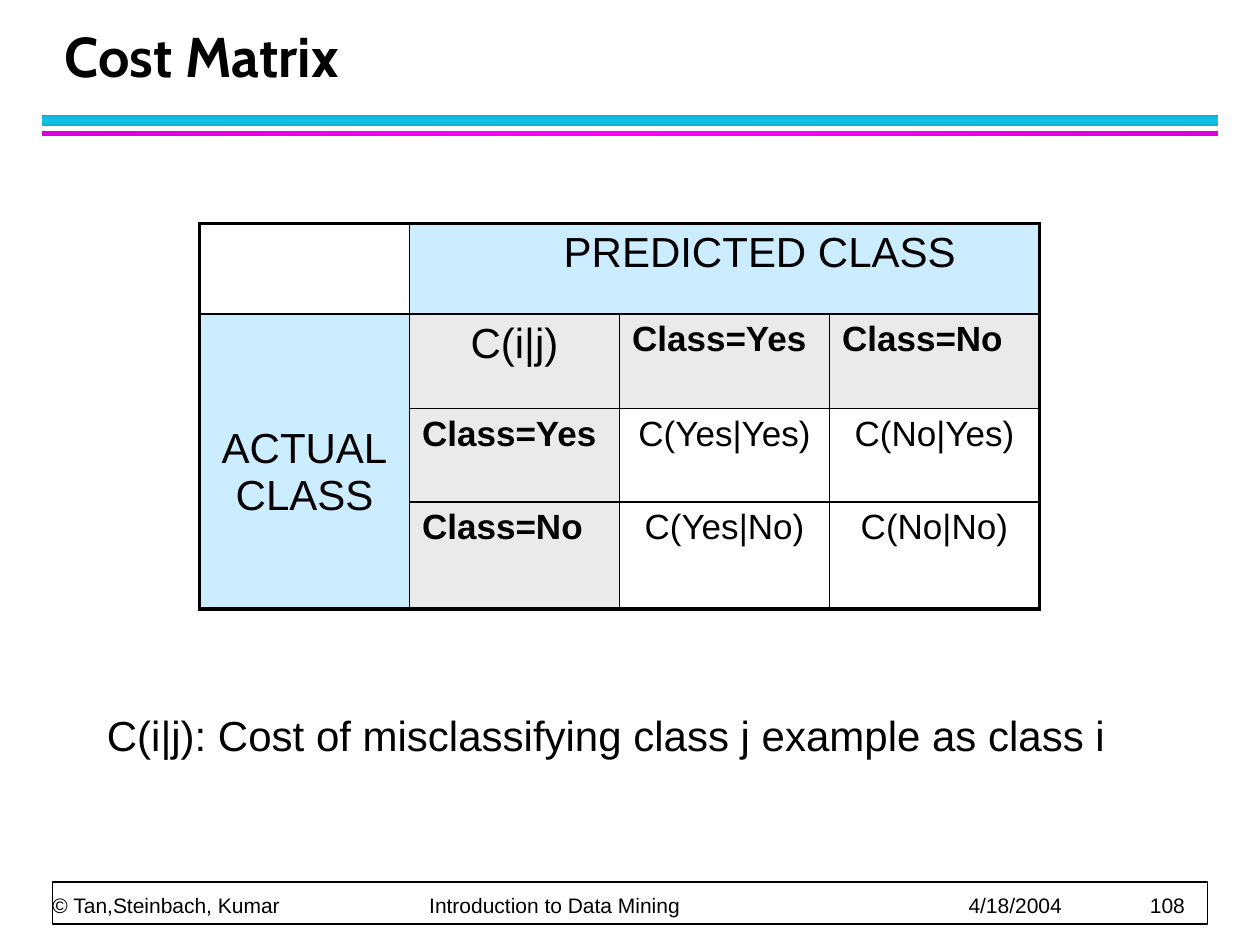
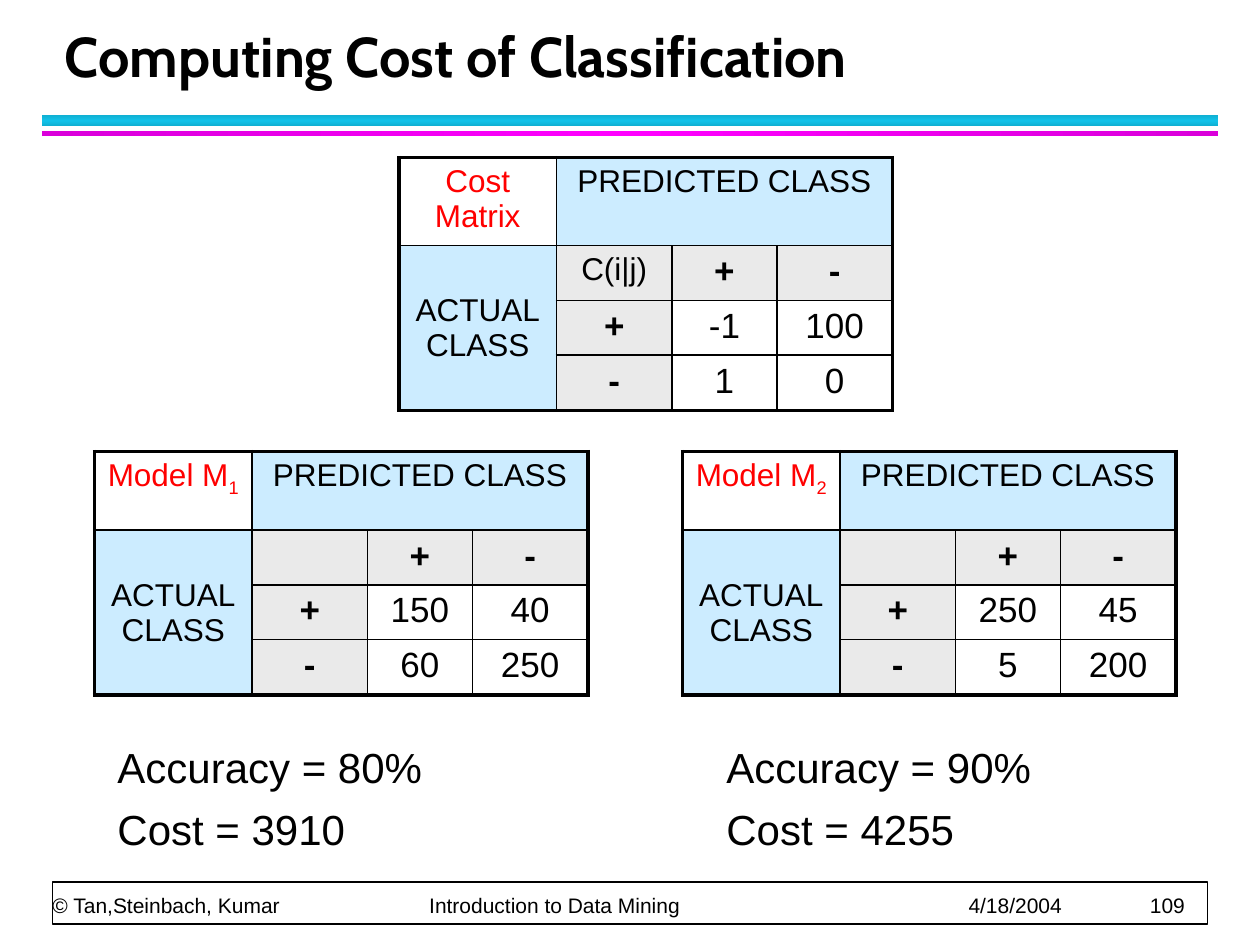
from copy import deepcopy

from lxml import etree
from pptx import Presentation
from pptx.dml.color import RGBColor
from pptx.enum.shapes import MSO_SHAPE as SHAPE
from pptx.enum.text import MSO_ANCHOR as ANCHOR, PP_ALIGN as ALIGN
from pptx.oxml.ns import qn
from pptx.util import Inches, Pt

BLACK = RGBColor(0x00, 0x00, 0x00)
WHITE = RGBColor(0xFF, 0xFF, 0xFF)
RED = RGBColor(0xFF, 0x00, 0x00)
PALE_BLUE = RGBColor(0xCC, 0xEC, 0xFF)
GREY = RGBColor(0xEA, 0xEA, 0xEA)
CYAN_EDGE, CYAN = RGBColor(0x10, 0xB0, 0xD3), RGBColor(0x12, 0xC2, 0xE9)
MAGENTA_EDGE, MAGENTA = RGBColor(0xDA, 0x00, 0xDA), RGBColor(0xFF, 0x00, 0xFF)

BODY_FONT, TITLE_FONT = "Arial", "Cabin"
COLS, ROWS = 120, 90
UNIT = Inches(10) // COLS
THIN, THICK = Pt(1), Pt(2.25)
FOOTER_TABS = (2.99, 7.27, 8.71)
SMALL_COLS, SMALL_ROWS = (15, 11, 10, 11), (7.5, 4.5, 5, 5.3)


def grid(*cells):
    return [round(n * UNIT) for n in cells]


def style(p, size, color=BLACK, bold=False, font=BODY_FONT):
    for r in p.runs:
        r.font.name, r.font.size, r.font.bold = font, Pt(size), bold
        r.font.color.rgb = color


def space(p, size):
    p.space_before, p.space_after = Pt(round(size * 0.12, 1)), Pt(4)


def add_text(slide, area, text, size, bold=False, font=BODY_FONT, anchor=ANCHOR.TOP):
    tf = slide.shapes.add_textbox(*grid(*area)).text_frame
    tf.word_wrap = True
    tf.vertical_anchor = anchor
    tf.text = text
    for p in tf.paragraphs:
        style(p, size, bold=bold, font=font)
    return tf


def add_rect(slide, area):
    s = slide.shapes.add_shape(SHAPE.RECTANGLE, *grid(*area))
    s.shadow.inherit = False
    return s


def add_band(slide, area, edge, middle, angle):
    s = add_rect(slide, area)
    s.line.fill.background()
    s.fill.gradient()
    s.fill.gradient_angle = angle
    first, last = s.fill.gradient_stops
    first.position, last.position = 0, 1
    first.color.rgb, last.color.rgb = middle, edge
    stops = s._element.spPr.find(".//" + qn("a:gsLst"))
    center = deepcopy(stops[0])
    center.set("pos", "50000")
    stops.insert(1, center)
    first.color.rgb = edge


def add_footer(slide, number):
    s = add_rect(slide, (5, 84, 110, 4))
    s.fill.solid()
    s.fill.fore_color.rgb = WHITE
    s.line.color.rgb, s.line.width = BLACK, THIN
    parts = ("© Tan,Steinbach, Kumar", "Introduction to Data Mining", "4/18/2004", str(number))
    tf = add_text(slide, (5, 84, 110, 3.4), "\t".join(parts), 12, anchor=ANCHOR.BOTTOM)
    tf.margin_left = tf.margin_right = tf.margin_top = tf.margin_bottom = 0
    p = tf.paragraphs[0]
    p.line_spacing = Pt(20)
    tabs = etree.SubElement(p._p.get_or_add_pPr(), qn("a:tabLst"))
    for stop in FOOTER_TABS:
        etree.SubElement(tabs, qn("a:tab"), pos=str(Inches(stop)), algn="l")


def add_slide(prs, title, number):
    slide = prs.slides.add_slide(prs.slide_layouts[6])
    add_band(slide, (4, 11, 112, 1), CYAN_EDGE, CYAN, 90)
    add_band(slide, (4, 12.5, 112, 0.5), MAGENTA_EDGE, MAGENTA, 0)
    add_footer(slide, number)
    tf = add_text(slide, (5, 2, 108.7, 7), title, 32, True, TITLE_FONT, ANCHOR.BOTTOM)
    tf.paragraphs[0].line_spacing = Pt(36)
    return slide


def set_borders(cell, row, col):
    bottom, right = row + cell.span_height - 1, col + cell.span_width - 1
    outer = {"lnL": col == 0, "lnR": right == 3, "lnT": row == 0, "lnB": bottom == 3}
    tcPr = cell._tc.get_or_add_tcPr()
    for i, (tag, thick) in enumerate(outer.items()):
        ln = etree.Element(qn("a:" + tag), w=str(THICK if thick else THIN))
        fill = etree.SubElement(ln, qn("a:solidFill"))
        etree.SubElement(fill, qn("a:srgbClr"), val=str(BLACK))
        tcPr.insert(i, ln)


def fill_cell(cell, text, size, fill=None, color=BLACK, bold=False, align=ALIGN.CENTER):
    if fill is None:
        cell.fill.background()
    else:
        cell.fill.solid()
        cell.fill.fore_color.rgb = fill
    if text:
        p = cell.text_frame.paragraphs[0]
        p.text = text
        p.alignment = align
        space(p, size)
        style(p, size, color, bold)


def add_matrix(slide, at, widths, heights, corner, key, labels, values, size, label_align=ALIGN.CENTER):
    area = grid(*at, sum(widths), sum(heights))
    table = slide.shapes.add_table(4, 4, *area).table
    table.first_row = table.horz_banding = False
    for column, width in zip(table.columns, grid(*widths)):
        column.width = width
    for row, height in zip(table.rows, grid(*heights)):
        row.height = height
    table.cell(0, 1).merge(table.cell(0, 3))
    table.cell(1, 0).merge(table.cell(3, 0))
    fill_cell(table.cell(0, 0), corner, size, color=RED)
    fill_cell(table.cell(0, 1), "PREDICTED CLASS", size, PALE_BLUE)
    fill_cell(table.cell(1, 0), "ACTUAL\vCLASS", size, PALE_BLUE)
    table.cell(1, 0).vertical_anchor = ANCHOR.MIDDLE
    fill_cell(table.cell(1, 1), key, size, GREY)
    for i, label in enumerate(labels, 2):
        for cell in (table.cell(1, i), table.cell(i, 1)):
            fill_cell(cell, label, 20, GREY, bold=True, align=label_align)
        for j, value in enumerate(values[i - 2], 2):
            fill_cell(table.cell(i, j), value, 20)
    for row in range(4):
        for col in range(4):
            set_borders(table.cell(row, col), row, col)
    return table


def add_subscript(cell, text):
    p = cell.text_frame.paragraphs[0]
    r = p.add_run()
    r.text = text
    style(p, 18, RED)
    r.font._element.set("baseline", "-25000")


def add_results(slide, at, accuracy, cost):
    tf = add_text(slide, (*at, 40, 13), f"Accuracy = {accuracy}\nCost = {cost}", 24)
    for p in tf.paragraphs:
        space(p, 24)


def build_cost_matrix(prs):
    slide = add_slide(prs, "Cost Matrix", 108)
    classes = ("Yes", "No")
    costs = [[f"C({predicted}|{actual})" for predicted in classes] for actual in classes]
    costs[0][1], costs[1][0] = "C(No|Yes)", "C(Yes|No)"
    table = add_matrix(slide, (19, 21.3), (20,) * 4, (8.6, 9, 8.9, 10.2), "", "C(i|j)",
                       [f"Class={c}" for c in classes], costs, 24, ALIGN.LEFT)
    table.cell(0, 1).margin_left = Inches(0.66)
    table.cell(1, 0).margin_top = Inches(0.22)
    add_text(slide, (9, 67, 103, 12), "C(i|j): Cost of misclassifying class j example as class i", 24)


def build_classification_cost(prs):
    slide = add_slide(prs, "Computing Cost of Classification", 109)
    signs = ("+", "-")
    add_matrix(slide, (38, 15), SMALL_COLS, SMALL_ROWS, "Cost Matrix", "C(i|j)",
               signs, (("-1", "100"), ("1", "0")), 18)
    models = (
        ("1", 9, 10, (("150", "40"), ("60", "250")), "80%", 3910),
        ("2", 65, 68, (("250", "45"), ("5", "200")), "90%", 4255),
    )
    for number, left, results_left, counts, accuracy, cost in models:
        table = add_matrix(slide, (left, 43), SMALL_COLS, SMALL_ROWS, "Model M", "",
                           signs, counts, 18)
        add_subscript(table.cell(0, 0), number)
        add_results(slide, (results_left, 70), accuracy, cost)


def main():
    prs = Presentation()
    prs.slide_width, prs.slide_height = grid(COLS, ROWS)
    build_cost_matrix(prs)
    build_classification_cost(prs)
    prs.save("out.pptx")


if __name__ == "__main__":
    main()
